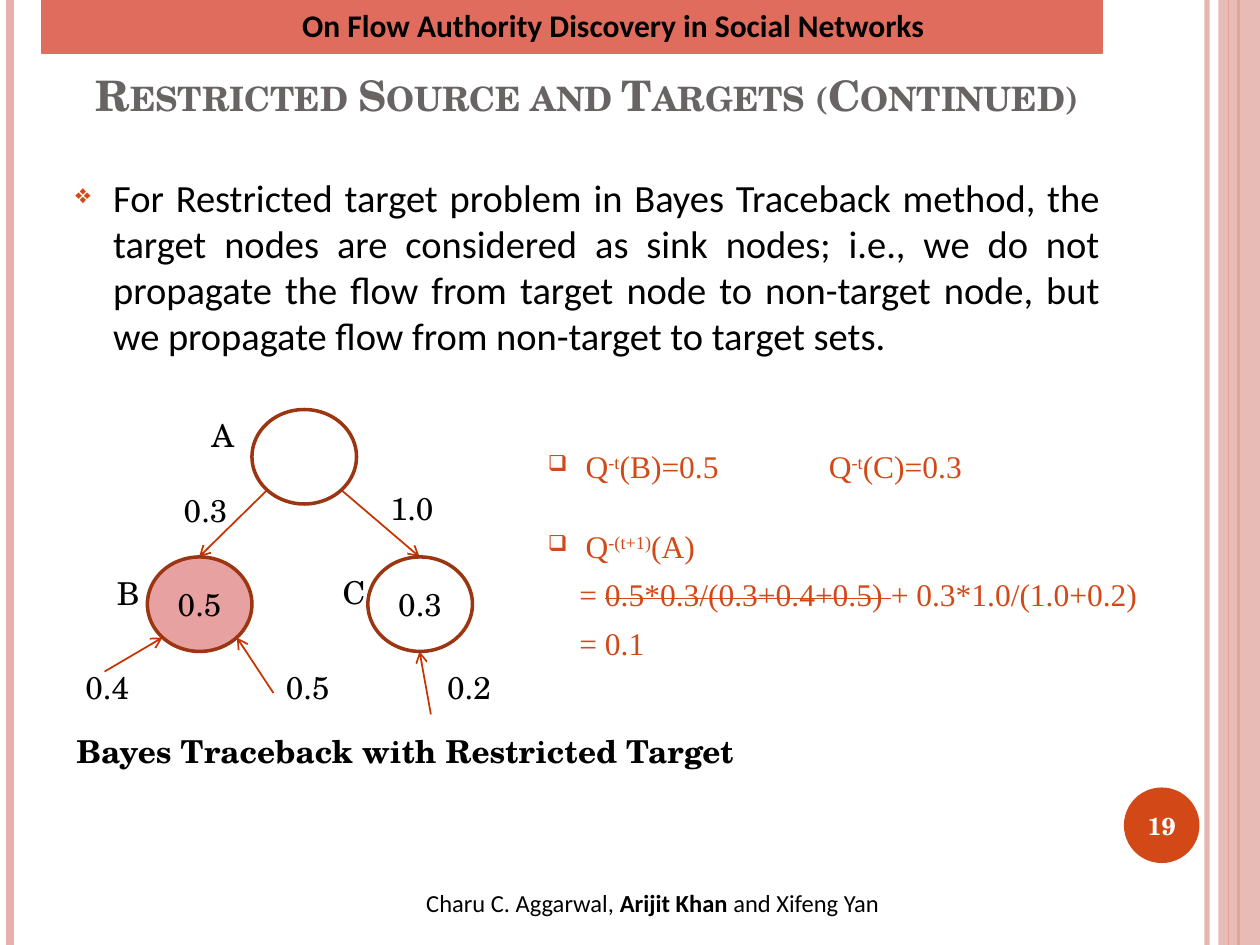
from lxml import etree
from pptx import Presentation
from pptx.dml.color import RGBColor
from pptx.enum import shapes as kinds, text as styles
from pptx.oxml import ns
from pptx.util import Inches, Pt

SERIF, SANS, TIMES = "TeX Gyre Schola", "Calibri", "Times New Roman"
BLACK, WHITE, ORANGE, PINK = "000000", "FFFFFF", "D34817", "E6B1AC"
HEADER, TITLE, RIM, ARROW, TARGET = "DF6C5D", "696464", "9C3511", "C83400", "C00000"
LEFT, CENTER, JUSTIFY = styles.PP_ALIGN.LEFT, styles.PP_ALIGN.CENTER, styles.PP_ALIGN.JUSTIFY
OVAL, RECT = kinds.MSO_SHAPE.OVAL, kinds.MSO_SHAPE.RECTANGLE


def paint(fill, color, opacity=100):
    """Solid colour for a shape, line or font fill; opacity in percent."""
    fill.solid()
    fill.fore_color.rgb = RGBColor.from_string(color)
    if opacity < 100:
        srgb = fill._xPr.find(".//" + ns.qn("a:srgbClr"))
        etree.SubElement(srgb, ns.qn("a:alpha"), val=str(opacity * 1000))


def write(paragraph, pieces, size, font, color=BLACK, align=LEFT, bold=False):
    """Add runs from (text, run attributes) pairs in one common style."""
    paragraph.alignment = align
    for words, attributes in pieces:
        run = paragraph.add_run()
        run.text = words
        run.font.size, run.font.name, run.font.bold = Pt(size), font, bold
        paint(run.font.fill, color)
        for key, value in attributes.items():
            run._r.get_or_add_rPr().set(key, value)


prs = Presentation()
prs.slide_width, prs.slide_height = Inches(10), Inches(7.5)
slide = prs.slides.add_slide(prs.slide_layouts[6])

# Side stripes and arrows: x1, y1, x2, y2, colour, width, opacity, arrowhead
stripes = [(x, 0, x, 7.5, color, width, opacity, False) for x, color, width, opacity in [
    (9.58, PINK, 3, 93), (0.08, PINK, 4.5, 100), (9.83, ORANGE, 1.5, 100), (9.75, ORANGE, 0.75, 100)]]
flows = [(*ends, ARROW, 1, 100, True) for ends in [
    (2.12, 3.89, 1.58, 4.42), (2.71, 3.89, 3.33, 4.42), (0.83, 5.33, 1.29, 5.06),
    (2.17, 5.5, 1.88, 5.06), (3.42, 5.67, 3.33, 5.17)]]

# Panels and graph nodes: kind, place, fill, opacity, rim, rim width, text, size, text colour, bold
panels = [
    (RECT, (9.67, 0, 0.33, 7.5), PINK, 87, None, 0, "", 14, BLACK, False),
    (OVAL, (8.92, 6.25, 0.6, 0.6), ORANGE, 100, None, 0, "19", 14, WHITE, True),
    (RECT, (0.33, 0, 8.42, 0.42), HEADER, 100, HEADER, 0.75, "", 14, BLACK, False),
]
nodes = [(OVAL, (x, y, 0.83, 0.75), fill, 37, RIM, 2, value, 18, BLACK, False) for x, y, fill, value in [
    (1.17, 4.42, TARGET, "0.5"), (2.92, 4.42, None, "0.3"), (2, 3.25, None, "")]]

for x1, y1, x2, y2, color, width, opacity, arrow in stripes + flows:
    line = slide.shapes.add_connector(
        kinds.MSO_CONNECTOR.STRAIGHT, Inches(x1), Inches(y1), Inches(x2), Inches(y2))
    line.line.width = Pt(width)
    paint(line.line.fill, color, opacity)
    if arrow:
        etree.SubElement(line.line._get_or_add_ln(), ns.qn("a:tailEnd"), type="arrow")
    etree.SubElement(line._element.spPr, ns.qn("a:effectLst"))

for kind, place, fill, opacity, rim, rim_width, value, size, color, bold in panels + nodes:
    panel = slide.shapes.add_shape(kind, *map(Inches, place))
    panel.shadow.inherit = False
    if fill:
        paint(panel.fill, fill, opacity)
    else:
        panel.fill.background()
    if rim:
        paint(panel.line.fill, rim)
        panel.line.width = Pt(rim_width)
    else:
        panel.line.fill.background()
    if value:
        frame = panel.text_frame
        frame.margin_left = frame.margin_right = 0
        frame.vertical_anchor = styles.MSO_ANCHOR.MIDDLE
        write(frame.paragraphs[0], [(value, {})], size, SERIF, color, CENTER, bold)

# Labels of nodes and edges
for x, y, label in [(3, 3.83, "1.0"), (3.45, 5.25, "0.2"), (2.17, 5.25, "0.5"), (0.58, 5.25, "0.4"),
                    (1.36, 3.85, "0.3"), (1.58, 3.25, "A"), (0.83, 4.51, "B"), (2.62, 4.5, "C")]:
    width = 0.55 if len(label) > 1 else 0.38
    frame = slide.shapes.add_textbox(Inches(x), Inches(y), Inches(width), Inches(0.4)).text_frame
    frame.word_wrap = False
    write(frame.paragraphs[0], [(label, {})], 18, SERIF)

# Text blocks: place, anchor, then paragraphs of
# (pieces, size, font, colour, align, bold, bullet, margin, space before)
TOP, BOTTOM = styles.MSO_ANCHOR.TOP, styles.MSO_ANCHOR.BOTTOM
raised = {"baseline": "30000"}
math_style = (18, TIMES, ORANGE, LEFT, False)
blocks = [
    ((2.3, 0, 5.3, 0.4), TOP, [
        ([("On Flow Authority Discovery in Social Networks", {})],
         18, SANS, BLACK, LEFT, True, None, 0, 0)]),
    ((2.68, 7, 5, 0.42), TOP, [
        ([("Charu C. Aggarwal, ", {}), ("Arijit Khan ", {"b": "1"}), ("and Xifeng Yan", {})],
         14, SANS, BLACK, CENTER, False, None, 0, 0)]),
    ((0.45, 0.5, 8.42, 0.5), BOTTOM, [
        ([("Restricted Source and Targets (Continued)", {"cap": "small"})],
         24, SERIF, TITLE, CENTER, True, None, 0, 0)]),
    ((0.5, 1.33, 8.33, 1.83), TOP, [
        ([("For Restricted target problem in Bayes Traceback method, the target nodes are "
           "considered as sink nodes; i.e., we do not propagate the flow from target node to "
           "non-target node, but we propagate flow from non-target to target sets.", {})],
         22, SANS, BLACK, JUSTIFY, False, "❖", 0.3, 0)]),
    ((4.25, 3.5, 5, 2.08), TOP, [
        ([("Q", {}), ("-t", raised), ("(B)=0.5\tQ", {}), ("-t", raised), ("(C)=0.3", {})],
         *math_style, "❑", 0.3, 0),
        ([("Q", {}), ("-(t+1)", raised), ("(A)", {})], *math_style, "❑", 0.3, 24),
        ([("= ", {}), ("0.5*0.3/(0.3+0.4+0.5) ", {"strike": "sngStrike"}),
          ("+ 0.3*1.0/(1.0+0.2)", {})], *math_style, None, 0.25, 6),
        ([("= 0.1", {})], *math_style, None, 0.25, 6)]),
    ((0.51, 5.76, 5.49, 0.4), TOP, [
        ([("Bayes Traceback with Restricted Target", {})],
         18, SERIF, BLACK, LEFT, True, None, 0, 0)]),
]
for place, anchor, paragraphs in blocks:
    frame = slide.shapes.add_textbox(*map(Inches, place)).text_frame
    frame.word_wrap = True
    frame.vertical_anchor = anchor
    for index, (pieces, *style, bullet, margin, space) in enumerate(paragraphs):
        paragraph = frame.add_paragraph() if index else frame.paragraphs[0]
        props = paragraph._p.get_or_add_pPr()
        props.set("marL", str(Inches(margin)))
        if bullet:
            props.set("indent", str(-Inches(margin)))
            bullet_color = etree.SubElement(props, ns.qn("a:buClr"))
            etree.SubElement(bullet_color, ns.qn("a:srgbClr"), val=ORANGE)
            etree.SubElement(props, ns.qn("a:buSzPct"), val="70000")
            etree.SubElement(props, ns.qn("a:buChar"), char=bullet)
        if any("\t" in words for words, _ in pieces):
            tabs = etree.SubElement(props, ns.qn("a:tabLst"))
            etree.SubElement(tabs, ns.qn("a:tab"), pos=str(Inches(2.23)), algn="l")
        if space:
            paragraph.space_before = Pt(space)
        write(paragraph, pieces, *style)

prs.save("out.pptx")
